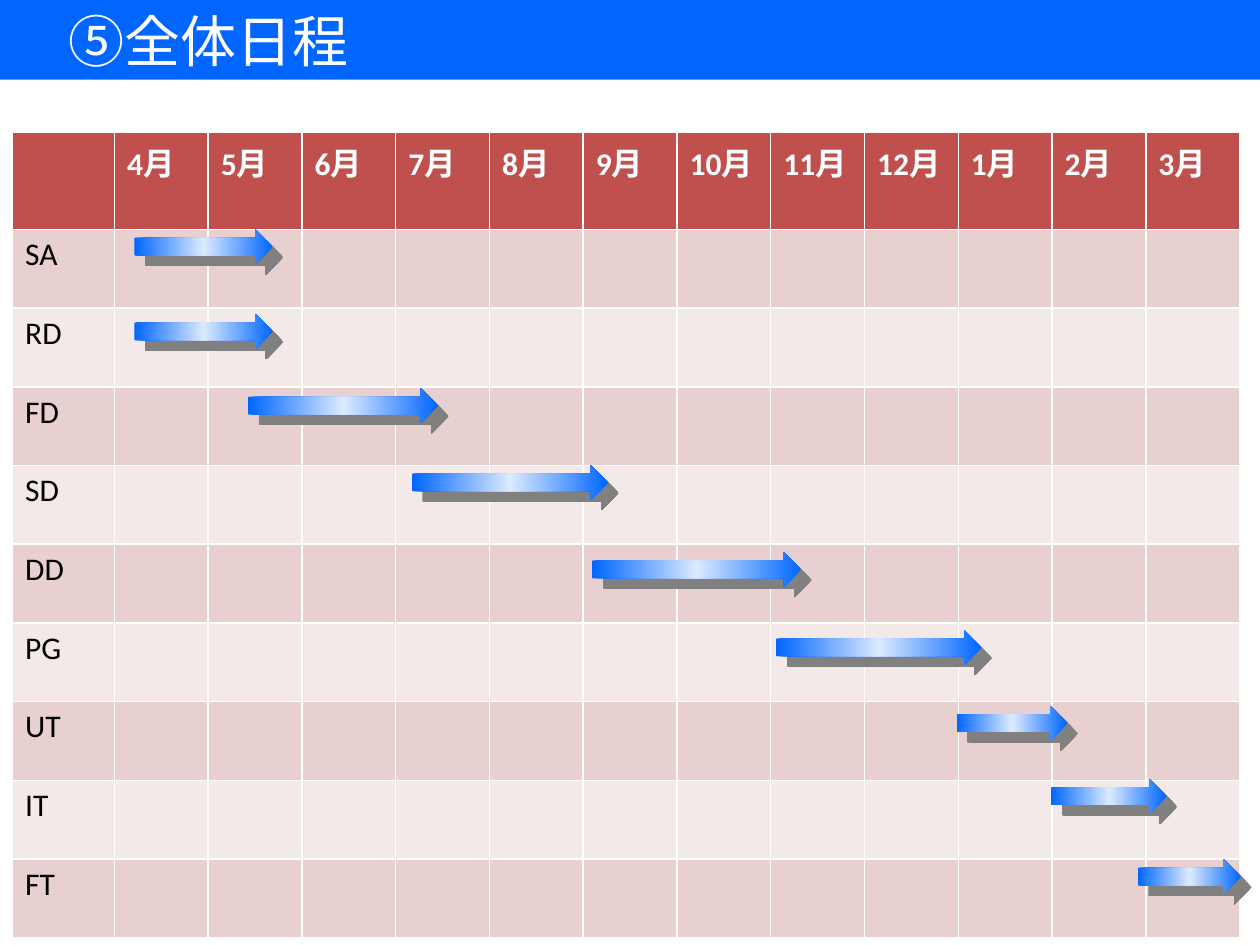
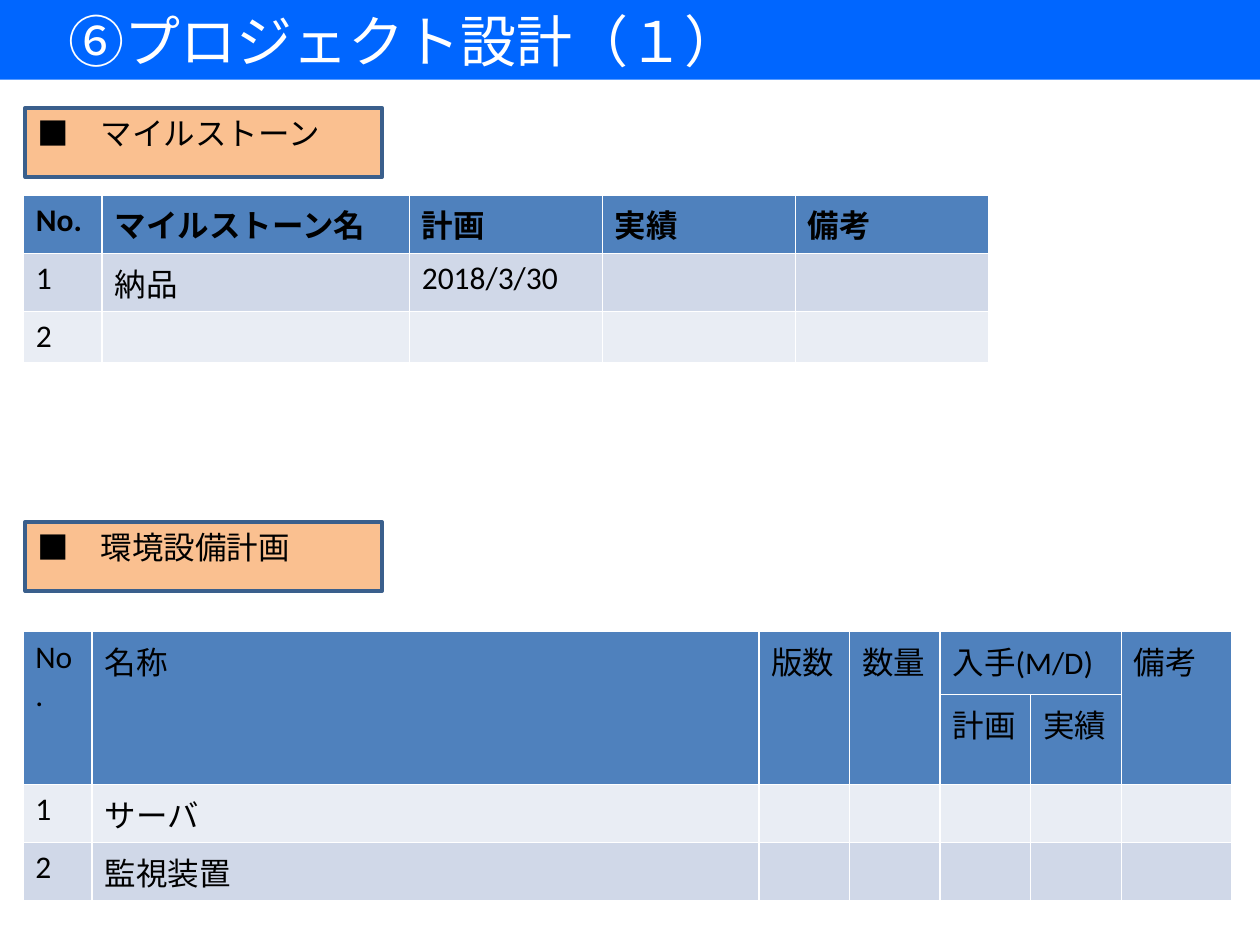
from pptx import Presentation, oxml
from pptx.dml.color import RGBColor
from pptx.enum import lang, shapes, text
from pptx.oxml import ns
from pptx.util import Pt

# Shared look
WIDE, HIGH = 720, 540
BLUE, SHINE, GREY = "0066FF", "DCEAFF", "808080"
WHITE, BLACK = "FFFFFF", "000000"
PEACH, EDGE = "FAC090", "3A5F8C"
RED = ("C0504D", "E8D0D0", "F4E9E9")    # head, odd rows, even rows
NAVY = ("4F81BD", "D0D8E8", "E9EDF4")
BODY, HEAD = "Calibri", "Cambria"


def color(code):
    return RGBColor.from_string(code)


def paint(part, code):
    part.fill.solid()
    part.fill.fore_color.rgb = color(code)


def add_run(frame, words, size=18, ink=BLACK, face=BODY, bold=False):
    para = frame.paragraphs[0]
    para.alignment = text.PP_ALIGN.LEFT
    run = para.add_run()
    run.text = words
    font = run.font
    font.size, font.name, font.bold = Pt(size), face, bold
    font.color.rgb = color(ink)
    font.language_id = lang.MSO_LANGUAGE_ID.JAPANESE


def add_page(deck, words):
    """Slide whose title is a full-width blue band."""
    page = deck.slides.add_slide(deck.slide_layouts[5])
    band = page.shapes.title
    band.left, band.top, band.width, band.height = Pt(0), Pt(0), Pt(WIDE), Pt(45.5)
    paint(band, BLUE)
    frame = band.text_frame
    frame.auto_size = text.MSO_AUTO_SIZE.NONE
    frame.vertical_anchor = text.MSO_ANCHOR.MIDDLE
    add_run(frame, words, 32, WHITE, HEAD)
    return page


def add_label(page, top, words):
    """Peach box that names a section."""
    box = page.shapes.add_shape(shapes.MSO_SHAPE.RECTANGLE,
                                Pt(14.4), Pt(top), Pt(204), Pt(39.6))
    box.shadow.inherit = False
    paint(box, PEACH)
    box.line.color.rgb = color(EDGE)
    box.line.width = Pt(2)
    box.text_frame.vertical_anchor = text.MSO_ANCHOR.TOP
    add_run(box.text_frame, words)


def add_grid(page, left, top, cols, rows, data, tones, heads=1,
             ink=BLACK, bold=True, spans=()):
    """Banded table; the table style draws its white rules."""
    grid = page.shapes.add_table(len(rows), len(cols), Pt(left), Pt(top),
                                 Pt(sum(cols)), Pt(sum(rows))).table
    for col, size in zip(grid.columns, cols):
        col.width = Pt(size)
    for row, size in zip(grid.rows, rows):
        row.height = Pt(size)
    for r, line in enumerate(data):
        head = r < heads
        tone = tones[0] if head else tones[1 if r % 2 else 2]
        for c in range(len(cols)):
            cell = grid.cell(r, c)
            paint(cell, tone)
            if c < len(line) and line[c]:
                add_run(cell.text_frame, line[c], ink=ink if head else BLACK,
                        bold=head and bold)
    for r, c, down, over in spans:
        grid.cell(r, c).merge(grid.cell(r + down - 1, c + over - 1))


def add_arrow(page, left, top, width):
    """Shiny bar arrow with a hard grey shadow."""
    bar = page.shapes.add_shape(shapes.MSO_SHAPE.RIGHT_ARROW,
                                Pt(left), Pt(top), Pt(width), Pt(20))
    bar.line.fill.background()
    bar.shadow.inherit = False
    space = ns.nsdecls("a")
    stops = "".join(
        f'<a:gs pos="{pos}"><a:srgbClr val="{code}"/></a:gs>'
        for pos, code in ((0, BLUE), (50000, SHINE), (100000, BLUE)))
    prop = bar._element.spPr
    prop.find(ns.qn("a:prstGeom")).addnext(oxml.parse_xml(
        f'<a:gradFill {space} rotWithShape="1"><a:gsLst>{stops}</a:gsLst>'
        '<a:lin ang="0" scaled="1"/></a:gradFill>'))
    prop.find(ns.qn("a:effectLst")).append(oxml.parse_xml(
        f'<a:outerShdw {space} dist="{Pt(8.5)}" dir="2700000" algn="ctr" '
        f'rotWithShape="0"><a:srgbClr val="{GREY}"/></a:outerShdw>'))


def add_plan(deck):
    page = add_page(deck, "　⑤全体日程")
    # Phase: left, top and width of its bar
    bars = {
        "SA": (76.8, 131, 79.2),
        "RD": (76.8, 179.4, 79.2),
        "FD": (141.8, 221.8, 108.7),
        "SD": (235.4, 265.7, 112.3),
        "DD": (338.4, 315.4, 119.5),
        "PG": (443.5, 360, 117.4),
        "UT": (546.6, 403.2, 63.4),
        "IT": (600.6, 445, 66.2),
        "FT": (650.2, 491, 59),
    }
    months = [f"{(m + 3) % 12 + 1}月" for m in range(12)]
    data = [[""] + months] + [[name] for name in bars]
    add_grid(page, 7.2, 75.8, [58.2] + [53.6] * 12, [45] * len(data),
             data, RED, ink=WHITE)
    for bar in bars.values():
        add_arrow(page, *bar)


def add_design(deck):
    page = add_page(deck, "　⑥プロジェクト設計（１）")

    # Milestones
    add_label(page, 61.6, "■　マイルストーン")
    add_grid(page, 13.3, 111.5, [45, 175.6] + [110.3] * 3, [29.2] * 3,
             [["No.", "マイルストーン名", "計画", "実績", "備考"],
              ["1", "納品", "2018/3/30"],
              ["2"]], NAVY)

    # Equipment, under a two-row head
    add_label(page, 298.2, "■　環境設備計画")
    tall = [(0, c, 2, 1) for c in (0, 1, 2, 3, 6)]
    add_grid(page, 13, 361, [39.6, 381] + [51.8] * 4 + [63.2],
             [36, 36, 29.2, 29.2],
             [["No.", "名称", "版数", "数量", "入手(M/D)", "", "備考"],
              ["", "", "", "", "計画", "実績"],
              ["1", "サーバ"],
              ["2", "監視装置"]],
             NAVY, heads=2, bold=False, spans=tall + [(0, 4, 1, 2)])


def main():
    deck = Presentation()
    deck.slide_width, deck.slide_height = Pt(WIDE), Pt(HIGH)
    add_plan(deck)
    add_design(deck)
    deck.save("out.pptx")


main()
